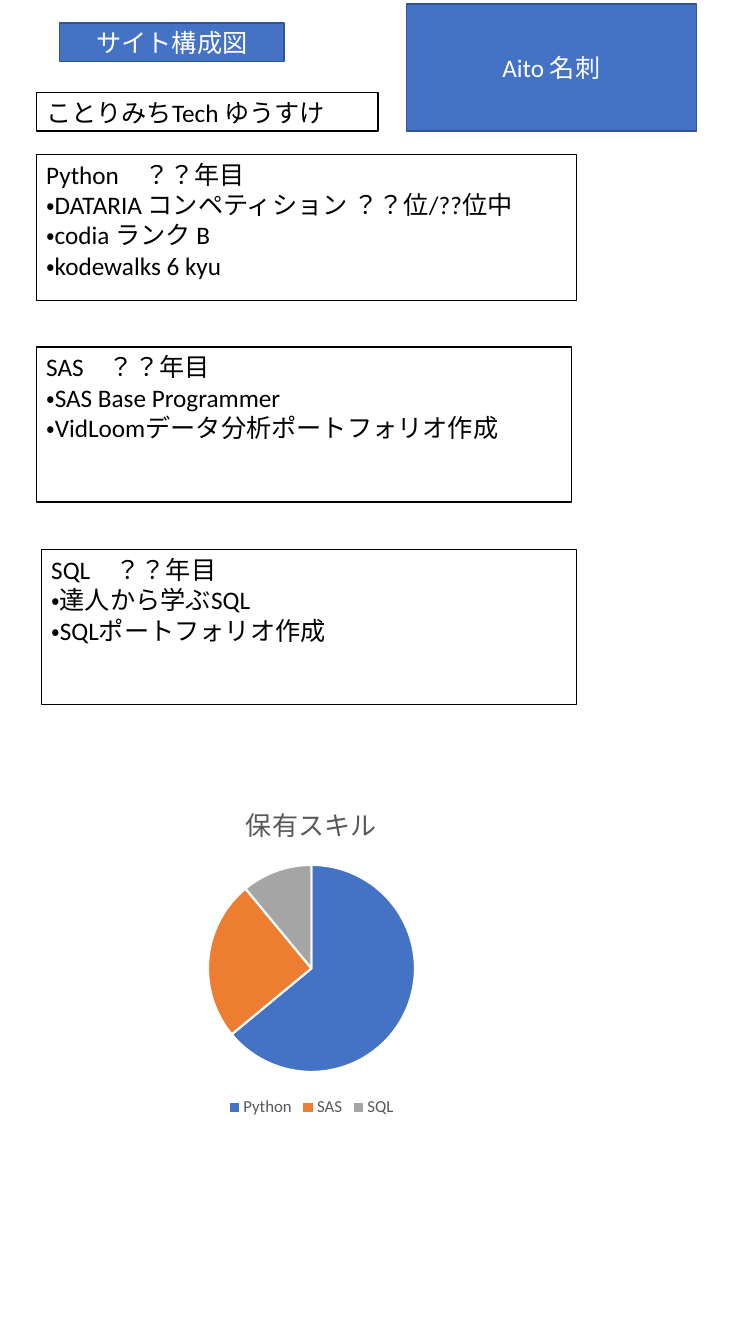
"""Build a portrait site plan slide with a skill profile and a skill pie chart."""
from pptx import Presentation
from pptx.chart.data import CategoryChartData
from pptx.dml.color import RGBColor
from pptx.enum.chart import XL_CHART_TYPE, XL_LEGEND_POSITION
from pptx.enum.lang import MSO_LANGUAGE_ID
from pptx.enum.shapes import MSO_SHAPE
from pptx.enum.text import MSO_ANCHOR, PP_ALIGN
from pptx.util import Inches, Pt

RECTANGLE = MSO_SHAPE.RECTANGLE
PIE = XL_CHART_TYPE.PIE
BOTTOM = XL_LEGEND_POSITION.BOTTOM
JAPANESE = MSO_LANGUAGE_ID.JAPANESE
TOP, MIDDLE = MSO_ANCHOR.TOP, MSO_ANCHOR.MIDDLE
LEFT, CENTER = PP_ALIGN.LEFT, PP_ALIGN.CENTER

BANNER = {"fill": "4472C4", "line": "325491", "text": "FFFFFF",
          "anchor": MIDDLE, "align": CENTER}
PANEL = {"fill": "FFFFFF", "line": "000000", "text": "000000",
         "anchor": TOP, "align": LEFT}


def color(value):
    return RGBColor.from_string(value)


def style_font(font, size, value):
    settings = {"name": "Calibri", "size": Pt(size), "bold": False,
                "language_id": JAPANESE}
    for attribute, setting in settings.items():
        setattr(font, attribute, setting)
    font.color.rgb = color(value)


presentation = Presentation()
presentation.slide_width = Inches(7.5)
presentation.slide_height = Inches(13.33)
slide = presentation.slides.add_slide(presentation.slide_layouts[6])

sections = [
    (0.59, 0.23, 2.23, 0.38, BANNER, "サイト構成図"),
    (0.36, 0.92, 3.39, 0.38, PANEL, "ことりみちTech ゆうすけ"),
    (0.36, 1.53, 5.36, 1.45, PANEL,
     "Python　？？年目\v・DATARIA コンペティション ？？位/??位中\v"
     "・codia ランク B\v・kodewalks 6 kyu"),
    (0.36, 3.44, 5.31, 1.54, PANEL,
     "SAS　？？年目\v・SAS Base Programmer\v"
     "・VidLoomデータ分析ポートフォリオ作成"),
    (0.41, 5.45, 5.31, 1.54, PANEL,
     "SQL　？？年目\v・達人から学ぶSQL\n・SQLポートフォリオ作成"),
    (4.03, 0.04, 2.88, 1.26, BANNER, "Aito 名刺"),
]
for left, top, width, height, look, wording in sections:
    section = slide.shapes.add_shape(
        RECTANGLE, Inches(left), Inches(top), Inches(width), Inches(height))
    section.shadow.inherit = False
    section.fill.solid()
    section.fill.fore_color.rgb = color(look["fill"])
    section.line.color.rgb = color(look["line"])
    section.line.width = Pt(1)
    frame = section.text_frame
    frame.word_wrap = True
    frame.vertical_anchor = look["anchor"]
    frame.text = wording
    for paragraph in frame.paragraphs:
        paragraph.alignment = look["align"]
        for run in paragraph.runs:
            style_font(run.font, 18, look["text"])

skills = {"Python": (64, "4472C4"), "SAS": (25, "ED7D31"), "SQL": (11, "A5A5A5")}
skill_data = CategoryChartData()
skill_data.categories = list(skills)
skill_data.add_series("保有スキル", [share for share, _ in skills.values()])
skill_chart = slide.shapes.add_chart(
    PIE, Inches(0.59), Inches(7.79), Inches(5), Inches(3.33), skill_data).chart
style_font(skill_chart.font, 10, "000000")

skill_chart.has_title = True
title_frame = skill_chart.chart_title.text_frame
title_frame.text = "保有スキル"
style_font(title_frame.paragraphs[0].runs[0].font, 18.6, "595959")
skill_chart.chart_title.include_in_layout = False

skill_chart.has_legend = True
skill_chart.legend.position = BOTTOM
skill_chart.legend.include_in_layout = False
style_font(skill_chart.legend.font, 12, "595959")

skill_plot = skill_chart.plots[0]
skill_plot.vary_by_categories = True
for index, (_, slice_color) in enumerate(skills.values()):
    slice_format = skill_plot.series[0].points[index].format
    slice_format.fill.solid()
    slice_format.fill.fore_color.rgb = color(slice_color)
    slice_format.line.color.rgb = color("FFFFFF")
    slice_format.line.width = Pt(1.5)

presentation.save("out.pptx")
